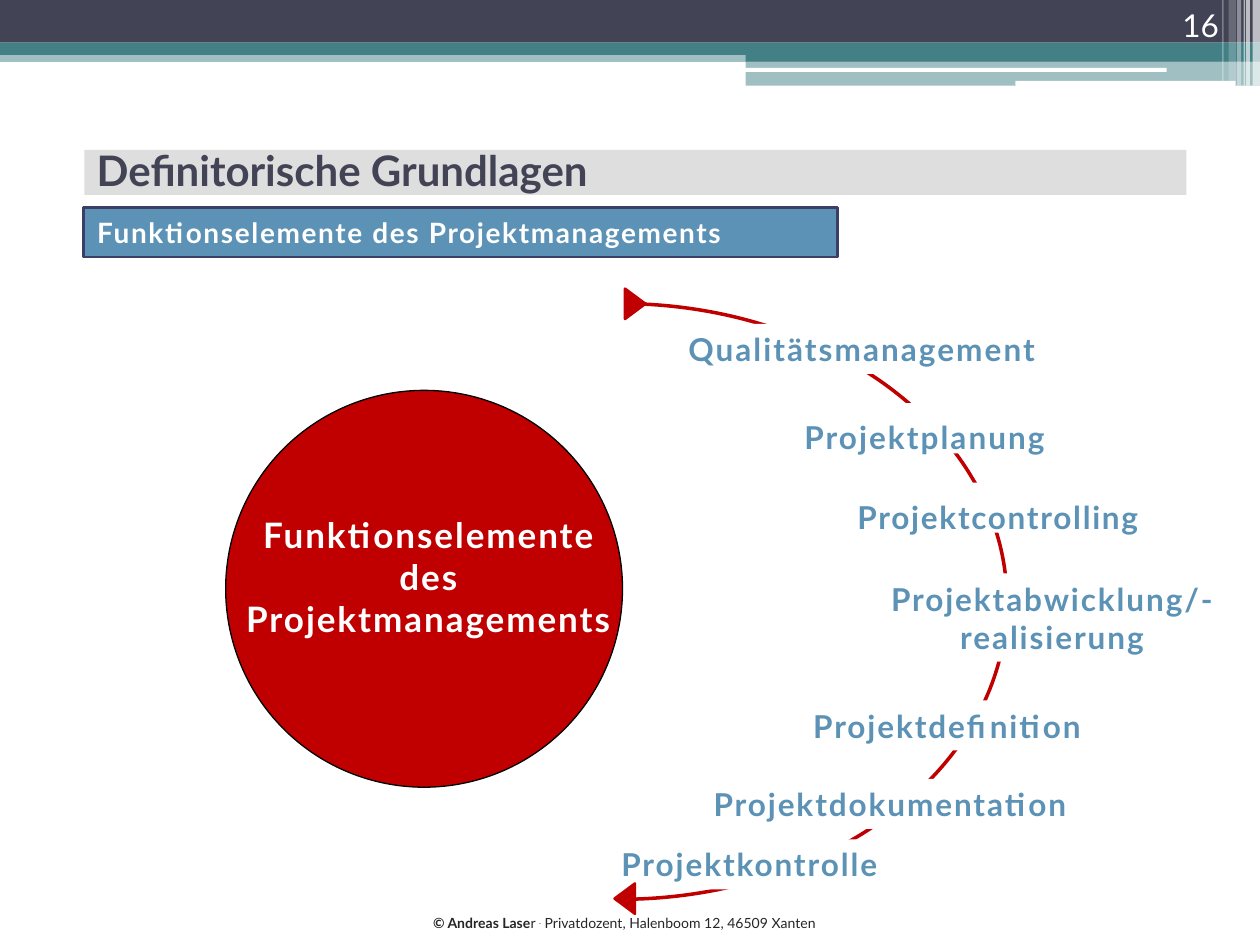
from lxml import etree
from pptx import Presentation
from pptx import util as u
from pptx.dml.color import RGBColor
from pptx.enum import shapes, text
from pptx.oxml import ns

COLORS = {
    "navy": "424456", "teal": "438086", "white": "FFFFFF", "grey": "DEDEDE",
    "blue": "5C92B5", "edge": "3D3E66", "red": "C00000", "black": "000000",
    "ink": "262626",
}
KINDS = shapes.MSO_SHAPE
ALIGN = text.PP_ALIGN
ANCHOR = text.MSO_ANCHOR

BANDS = [
    (KINDS.RECTANGLE, (0, 1.02, 25.4, 0.23), "teal", 50),
    (KINDS.RECTANGLE, (0, 0, 25.4, 0.86), "navy", 100),
    (KINDS.RECTANGLE, (0, 0.86, 25.4, 0.25), "teal", 100),
    (KINDS.RECTANGLE, (15.03, 0.99, 10.37, 0.25), "teal", 100),
    (KINDS.RECTANGLE, (15.03, 1.22, 10.37, 0.51), "teal", 50),
    (KINDS.ROUNDED_RECTANGLE, (15.01, 1.37, 8.51, 0.08), "white", 100),
    (KINDS.ROUNDED_RECTANGLE, (20.47, 1.63, 4.44, 0.1), "white", 100),
]
STRIPES = [
    (25.25, 0.15, 1.73, 65), (25.12, 0.08, 1.73, 65), (25.07, 0.03, 1.73, 60),
    (24.94, 0.08, 1.73, 40), (24.77, 0.15, 1.63, 20), (24.64, 0.03, 1.63, 30),
]
LABELS = [
    (["Qualitätsmanagement"], (13.11, 6.53, 8.2, 1.01), 0, 1.2),
    (["Projektplanung"], (15.04, 8.13, 6.87, 1.01), 0.36, 1.2),
    (["Projektcontrolling"], (16.41, 9.73, 7.09, 1.01), 0.36, 1),
    (["Projektabwicklung/-", "realisierung"], (17.5, 11.56, 7.09, 1.78), 0, 1.1),
    (["Projektdefinition"], (15.49, 14.12, 6.88, 1.01), 0, 1.1),
    (["Projektdokumentation"], (13.46, 15.7, 8.64, 1.01), 0, 1.1),
    (["Projektkontrolle"], (11.4, 16.92, 7.09, 1.01), 0, 1.1),
]
FOOTER = [
    ("© Andreas Lase", {"bold": True}),
    ("r ", {}),
    (".", {"raised": True}),
    (" Privatdozent, Halenboom 12, 46509 Xanten", {}),
]


def add_figure(slide, kind, box, fill=None, line=None, weight=0.75, opacity=100, rotation=0):
    """Add a preset shape with plain fill and line; box is in centimetres."""
    shape = slide.shapes.add_shape(kind, *map(u.Cm, box))
    shape.shadow.inherit = False
    shape.rotation = rotation
    if fill:
        shape.fill.solid()
        shape.fill.fore_color.rgb = RGBColor.from_string(COLORS[fill])
    else:
        shape.fill.background()
    if opacity < 100:
        color = shape.fill._xPr.find(".//" + ns.qn("a:srgbClr"))
        etree.SubElement(color, ns.qn("a:alpha"), val=str(opacity * 1000))
    if line:
        shape.line.color.rgb = RGBColor.from_string(COLORS[line])
        shape.line.width = u.Pt(weight)
    else:
        shape.line.fill.background()
    return shape


def set_frame(shape, margins=(0.25, 0.13, 0.25, 0.13), anchor=ANCHOR.TOP, wrap=True):
    """Set margins, anchor and wrapping of a text frame and return the frame."""
    frame = shape.text_frame
    frame.margin_left, frame.margin_top, frame.margin_right, frame.margin_bottom = map(u.Cm, margins)
    frame.vertical_anchor = anchor
    frame.word_wrap = wrap
    return frame


def add_box(slide, box, **layout):
    """Add a text box and return its frame."""
    return set_frame(slide.shapes.add_textbox(*map(u.Cm, box)), **layout)


def write(paragraph, words, size=18, color="white", bold=False, spacing=0, raised=False, align=ALIGN.LEFT):
    """Append formatted words to a paragraph."""
    paragraph.alignment = align
    run = paragraph.add_run()
    run.text = words
    run.font.name = "Lato"
    run.font.size = u.Pt(size)
    run.font.bold = bold
    run.font.color.rgb = RGBColor.from_string(COLORS[color])
    properties = run.font._element
    if spacing:
        properties.set("spc", str(round(spacing * 100)))
    if raised:
        properties.set("baseline", "30000")


def write_lines(frame, lines, **style):
    """Write each line as a paragraph of its own."""
    for number, line in enumerate(lines):
        paragraph = frame.add_paragraph() if number else frame.paragraphs[0]
        write(paragraph, line, **style)


def add_banner(slide):
    """Draw the bands and stripes along the top edge, and the footer."""
    for kind, box, fill, opacity in BANDS:
        add_figure(slide, kind, box, fill, opacity=opacity)
    for left, width, height, opacity in STRIPES:
        add_figure(slide, KINDS.RECTANGLE, (left, 0, width, height), "white", opacity=opacity)
    footer = add_box(slide, (8.48, 18.31, 8.56, 0.61), wrap=False)
    for words, style in FOOTER:
        write(footer.paragraphs[0], words, size=8, color="ink", **style)


def add_headings(slide):
    """Add title, page number and subtitle."""
    add_figure(slide, KINDS.RECTANGLE, (1.7, 3.02, 22.22, 0.91), "grey")
    title = add_box(slide, (1.7, 1.93, 22.45, 2.97), anchor=ANCHOR.MIDDLE)
    write(title.paragraphs[0], "Definitorische Grundlagen", size=24, color="navy", bold=True)
    number = add_box(slide, (22.71, 0, 2.11, 1.02), anchor=ANCHOR.BOTTOM)
    write(number.paragraphs[0], "16", align=ALIGN.RIGHT)
    subtitle = add_figure(slide, KINDS.RECTANGLE, (1.68, 4.19, 15.21, 0.99), "blue", "edge", 1.5)
    frame = set_frame(subtitle, margins=(0.28, 0.13, 0.25, 0.13), anchor=ANCHOR.MIDDLE)
    write(frame.paragraphs[0], "Funktionselemente des Projektmanagements", size=16, bold=True, spacing=0.95)


def add_cycle(slide):
    """Draw the half ring, the central circle, the labels and the arrowheads."""
    add_figure(slide, KINDS.OVAL, (4.7, 6.12, 15.6, 12.01), line="red", weight=2)
    add_figure(slide, KINDS.RECTANGLE, (3.71, 5.33, 8.99, 13), "white")
    add_figure(slide, KINDS.OVAL, (4.55, 7.87, 8, 8), "red", "black")
    center = add_box(slide, (4.29, 10.36, 8.69, 2.57), margins=(0, 0, 0, 0))
    write_lines(center, ["Funktionselemente", "des", "Projektmanagements"],
                size=20, bold=True, spacing=1.1, align=ALIGN.CENTER)
    for lines, box, drop, spacing in LABELS:
        label = add_figure(slide, KINDS.RECTANGLE, box, "white")
        frame = set_frame(label, margins=(0.33, drop, 0, 0), anchor=ANCHOR.MIDDLE)
        write_lines(frame, lines, color="blue", bold=True, spacing=spacing, align=ALIGN.CENTER)
    for left, top, rotation in [(12.5, 5.92, 90), (12.29, 17.91, 270)]:
        add_figure(slide, KINDS.ISOSCELES_TRIANGLE, (left, top, 0.61, 0.41),
                   "red", "red", 1.5, rotation=rotation)


def main():
    """Build the slide and save it."""
    presentation = Presentation()
    presentation.slide_width = u.Cm(25.4)
    presentation.slide_height = u.Cm(19.05)
    slide = presentation.slides.add_slide(presentation.slide_layouts[6])
    add_banner(slide)
    add_headings(slide)
    add_cycle(slide)
    presentation.save("out.pptx")


if __name__ == "__main__":
    main()
